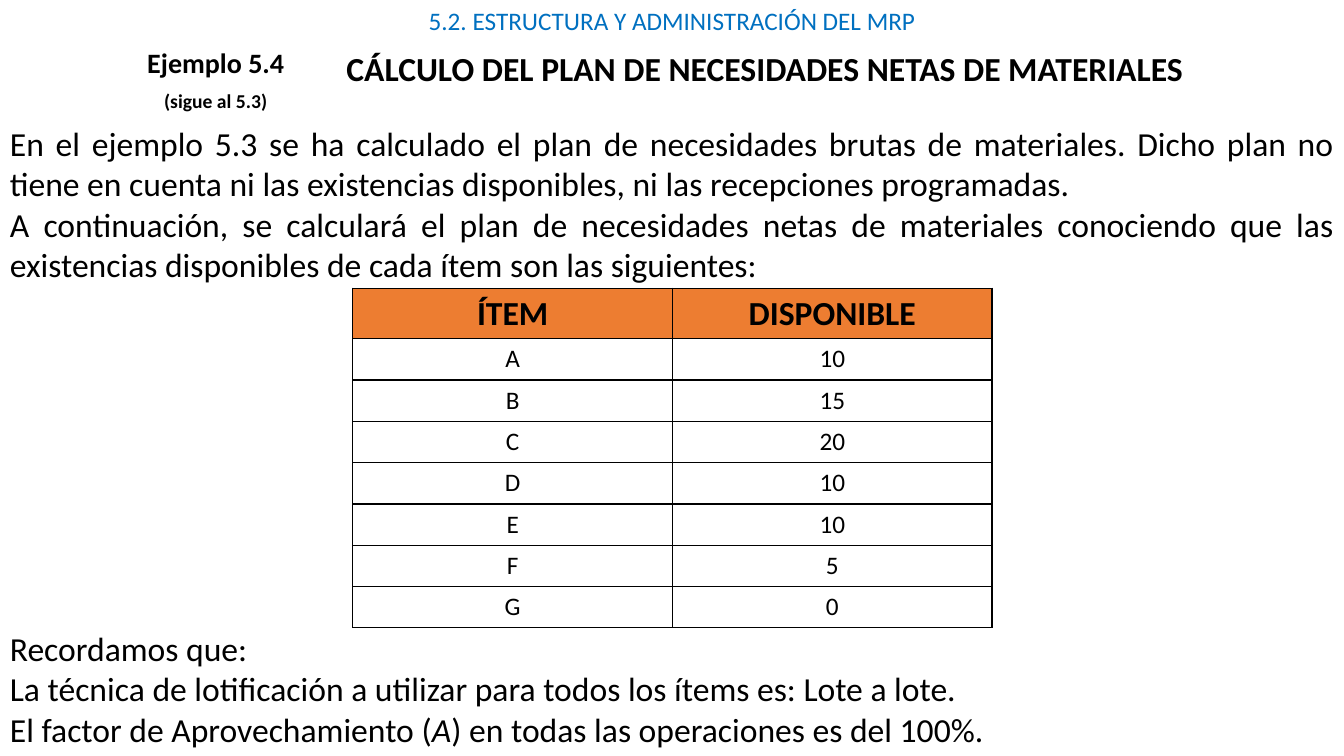
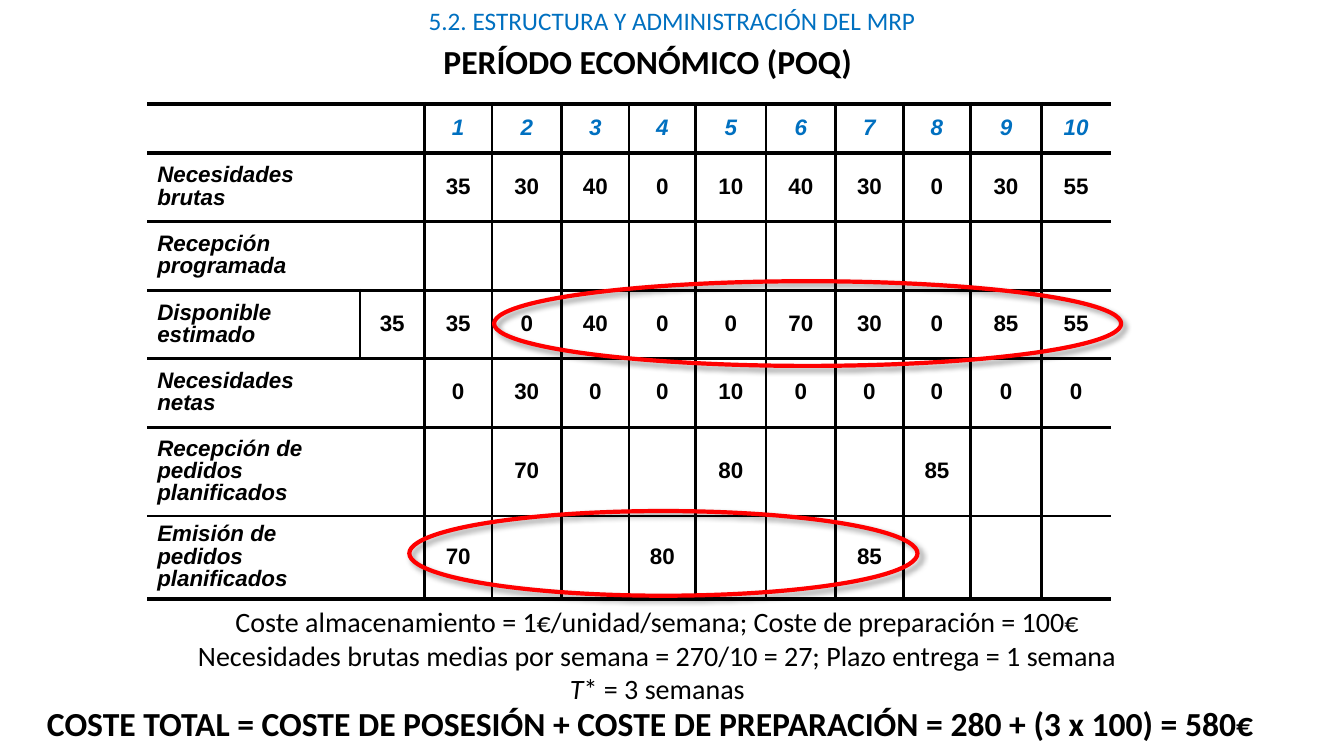
from lxml import etree
from pptx import Presentation
from pptx.dml.color import RGBColor
from pptx.enum.shapes import MSO_SHAPE
from pptx.enum.text import MSO_ANCHOR, MSO_AUTO_SIZE, PP_ALIGN
from pptx.oxml.ns import qn
from pptx.util import Pt

PX = 9144
WIDTH, HEIGHT = 1333, 750
BLACK, BLUE, ORANGE, RED = "000000", "0070C0", "ED7D31", "FF0000"
BODY_FONT, GRID_FONT = "Calibri", "Arial"
LEFT, CENTER, JUSTIFY = PP_ALIGN.LEFT, PP_ALIGN.CENTER, PP_ALIGN.JUSTIFY
MIDDLE = MSO_ANCHOR.MIDDLE
FIT_TEXT = MSO_AUTO_SIZE.SHAPE_TO_FIT_TEXT
ELLIPSE = MSO_SHAPE.OVAL
SIDES = ("L", "R", "T", "B")
THIN, MEDIUM, THICK = 1, 2.25, 3

CHAPTER = "5.2. ESTRUCTURA Y ADMINISTRACIÓN DEL MRP"

STOCK = [
    ("ÍTEM", "DISPONIBLE"),
    ("A", "10"),
    ("B", "15"),
    ("C", "20"),
    ("D", "10"),
    ("E", "10"),
    ("F", "5"),
    ("G", "0"),
]

PLAN = [
    ["", ""] + [str(week) for week in range(1, 11)],
    ["Necesidades brutas", "", "35", "30", "40", "0", "10", "40", "30", "0", "30", "55"],
    ["Recepción programada"] + [""] * 11,
    ["Disponible estimado", "35", "35", "0", "40", "0", "0", "70", "30", "0", "85", "55"],
    ["Necesidades netas", "", "0", "30", "0", "0", "10", "0", "0", "0", "0", "0"],
    ["Recepción de pedidos planificados", "", "", "70", "", "", "80", "", "", "85", "", ""],
    ["Emisión de pedidos planificados", "", "70", "", "", "80", "", "", "85", "", "", ""],
]
PLAN_COLUMNS = [211, 64, 67, 69, 67, 66, 70, 69, 67, 67, 70, 69]
PLAN_ROWS = [49, 68, 68, 68, 68, 88, 82]


def color(code):
    return RGBColor.from_string(code)


def emu(box):
    return [length * PX for length in box]


def style(span, size, code=BLACK, bold=False, italic=False, font=BODY_FONT):
    span.font.name = font
    span.font.size = Pt(size)
    span.font.color.rgb = color(code)
    span.font.bold = bold
    span.font.italic = italic


def add_text(page, box, lines, size, align=CENTER, code=BLACK, bold=False, wrap=True):
    frame = page.shapes.add_textbox(*emu(box)).text_frame
    frame.word_wrap = wrap
    frame.auto_size = FIT_TEXT
    for index, line in enumerate(lines):
        para = frame.add_paragraph() if index else frame.paragraphs[0]
        para.alignment = align
        pieces = [(line, False)] if isinstance(line, str) else line
        for text, italic in pieces:
            span = para.add_run()
            span.text = text
            style(span, size, code, bold, italic)
    return frame


def add_chapter(page):
    add_text(page, (0, 0, WIDTH, 40), [CHAPTER], 18, code=BLUE)


def add_title(page, box, title):
    add_text(page, box, [title], 24, bold=True)


def set_borders(cell, widths):
    properties = cell._tc.get_or_add_tcPr()
    for side in SIDES:
        width = widths.get(side, 0)
        line = etree.SubElement(properties, qn("a:ln" + side), w=str(int(Pt(width))))
        if width:
            fill = etree.SubElement(line, qn("a:solidFill"))
            etree.SubElement(fill, qn("a:srgbClr"), val=BLACK)
        else:
            etree.SubElement(line, qn("a:noFill"))


def add_grid(page, left, top, columns, rows, values, format_cell):
    box = (left, top, sum(columns), sum(rows))
    table = page.shapes.add_table(len(rows), len(columns), *emu(box)).table
    table.first_row = False
    table.horz_banding = False
    for column, width in zip(table.columns, columns):
        column.width = width * PX
    for row, height in zip(table.rows, rows):
        row.height = height * PX
    for row, line in enumerate(values):
        for column, text in enumerate(line):
            cell = table.cell(row, column)
            cell.text_frame.text = text
            format_cell(cell, row, column)


def format_stock_cell(cell, row, column):
    set_borders(cell, dict.fromkeys(SIDES, THIN))
    para = cell.text_frame.paragraphs[0]
    para.alignment = CENTER
    if row == 0:
        cell.fill.solid()
        cell.fill.fore_color.rgb = color(ORANGE)
    else:
        cell.fill.background()
    for span in para.runs:
        style(span, 18 if row else 24, bold=row == 0)


def format_plan_cell(cell, row, column):
    last_row, last_column = len(PLAN_ROWS) - 1, len(PLAN_COLUMNS) - 1
    has_initial_stock = bool(PLAN[row][1])
    widths = {
        "T": THICK if row <= 1 else MEDIUM,
        "B": THICK if row in (0, last_row) else MEDIUM,
    }
    if column > 1 or (column == 1 and has_initial_stock):
        widths["L"] = MEDIUM
    if 0 < column < last_column or (column == 0 and has_initial_stock):
        widths["R"] = MEDIUM
    set_borders(cell, widths)
    cell.fill.background()
    cell.vertical_anchor = MIDDLE
    para = cell.text_frame.paragraphs[0]
    para.alignment = CENTER if column else LEFT
    para.line_spacing = 0.9
    for span in para.runs:
        style(span, 16, BLACK if row else BLUE, True, row == 0 or column == 0, GRID_FONT)


def add_highlight(page, box):
    ring = page.shapes.add_shape(ELLIPSE, *emu(box))
    ring.shadow.inherit = False
    ring.fill.background()
    ring.line.color.rgb = color(RED)
    ring.line.width = Pt(3)
    effects = ring._element.spPr.find(qn("a:effectLst"))
    shadow = etree.SubElement(
        effects, qn("a:outerShdw"), blurRad=str(int(Pt(4))), dist=str(int(Pt(3))),
        dir=str(45 * 60000), algn="tl", rotWithShape="0")
    tint = etree.SubElement(shadow, qn("a:srgbClr"), val=BLACK)
    etree.SubElement(tint, qn("a:alpha"), val="40000")


def add_example_label(page, box):
    frame = add_text(page, box, ["Ejemplo 5.4", "(sigue al 5.3)"], 20, bold=True)
    note = frame.paragraphs[1]
    note.space_before = Pt(7)
    note.runs[0].font.size = Pt(14)


def build_example(page):
    add_chapter(page)
    add_title(page, (183, 43, 1151, 50), "CÁLCULO DEL PLAN DE NECESIDADES NETAS DE MATERIALES")
    add_example_label(page, (124, 40, 180, 79))
    add_text(page, (0, 117, WIDTH, 172), [
        "En el ejemplo 5.3 se ha calculado el plan de necesidades brutas de materiales. "
        "Dicho plan no tiene en cuenta ni las existencias disponibles, ni las recepciones "
        "programadas.",
        "A continuación, se calculará el plan de necesidades netas de materiales conociendo "
        "que las existencias disponibles de cada ítem son las siguientes:",
    ], 24, JUSTIFY)
    add_text(page, (0, 618, WIDTH, 131), [
        "Recordamos que:",
        "La técnica de lotificación a utilizar para todos los ítems es: Lote a lote.",
        [("El factor de Aprovechamiento (", False), ("A", True),
         (") en todas las operaciones es del 100%.", False)],
    ], 24, JUSTIFY)
    add_grid(page, 350, 286, [317] * 2, [50] + [41] * 7, STOCK, format_stock_cell)


def build_order_period(page):
    add_chapter(page)
    add_title(page, (248, 36, 789, 50), "PERÍODO ECONÓMICO (POQ)")
    add_grid(page, 146, 103, PLAN_COLUMNS, PLAN_ROWS, PLAN, format_plan_cell)
    add_text(page, (182, 595, 940, 111), [
        "Coste almacenamiento = 1€/unidad/semana; Coste de preparación = 100€",
        "Necesidades brutas medias por semana = 270/10 = 27; Plazo entrega = 1 semana",
        [("T", True), ("* = 3 semanas", False)],
    ], 20, wrap=False)
    for box in ((490, 279, 622, 84), (406, 507, 504, 84)):
        add_highlight(page, box)
    add_title(page, (-14, 692, 1318, 50),
              "COSTE TOTAL = COSTE DE POSESIÓN + COSTE DE PREPARACIÓN = 280 + (3 x 100) = 580€")


def main():
    deck = Presentation()
    deck.slide_width, deck.slide_height = emu((WIDTH, HEIGHT))
    for build in (build_example, build_order_period):
        build(deck.slides.add_slide(deck.slide_layouts[6]))
    deck.save("out.pptx")


if __name__ == "__main__":
    main()
